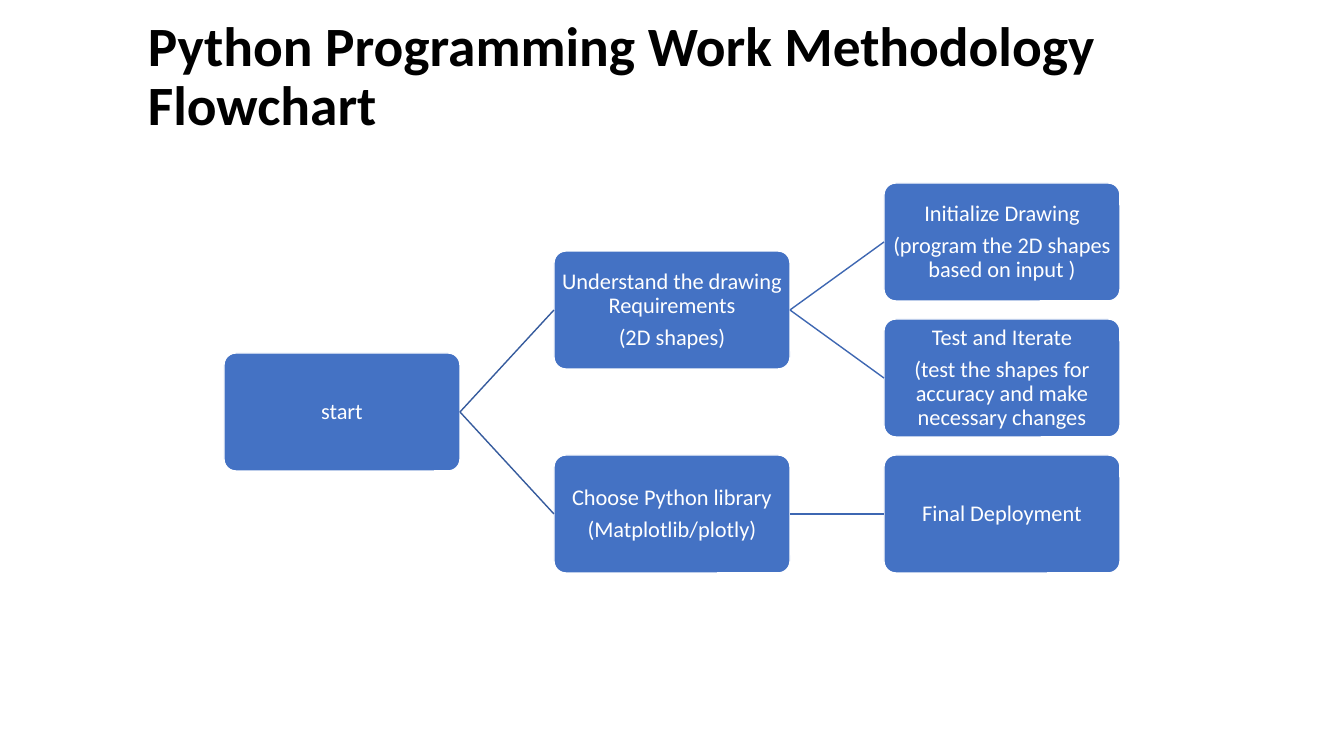
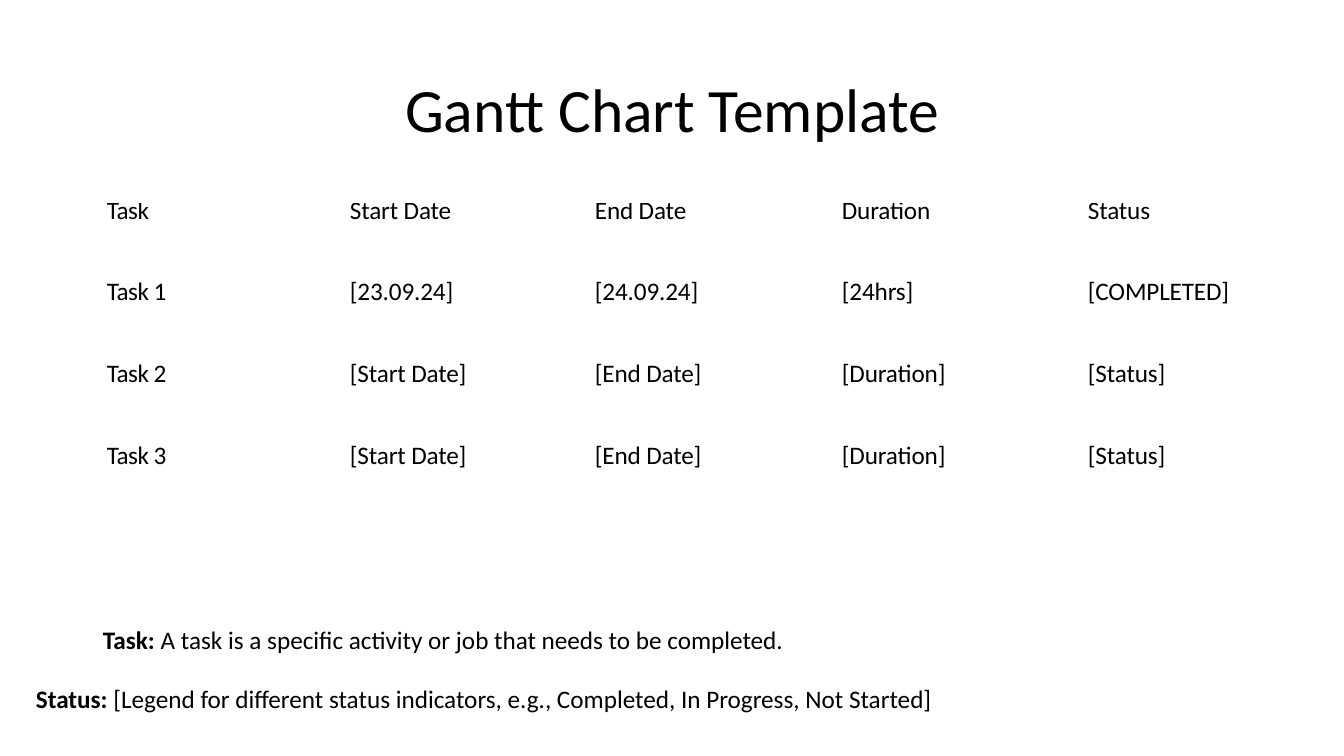
from dataclasses import dataclass

from lxml.etree import SubElement
from pptx import Presentation
from pptx.dml.color import RGBColor
from pptx.enum.shapes import MSO_CONNECTOR, MSO_SHAPE
from pptx.enum.text import MSO_ANCHOR, PP_ALIGN
from pptx.oxml.ns import qn
from pptx.util import Emu, Pt


@dataclass(frozen=True)
class Theme:
    font: str = "Calibri"
    ink: str = "000000"
    paper: str = "FFFFFF"
    node: str = "4472C4"
    links: tuple = ("365B9D", "3E67B2")  # by depth of the parent
    flow_title: float = 39.6
    gantt_title: float = 44
    node_text: float = 16
    body: float = 18


T = Theme()
SLIDE_W, SLIDE_H = 1344, 756
LEFT, RIGHT = 1, 3

# key: (column, row, parent, paragraphs)
FLOW = {
    "start": (0, 1.25, None, ["start"]),
    "needs": (1, 0.5, "start",
              ["Understand the drawing Requirements", "(2D shapes)"]),
    "draw": (2, 0, "needs",
             ["Initialize Drawing", "(program the 2D shapes based on input )"]),
    "test": (2, 1, "needs",
             ["Test and Iterate",
              "(test the shapes for accuracy and make necessary changes"]),
    "library": (1, 2, "start",
                ["Choose Python library", "(Matplotlib/plotly)"]),
    "deploy": (2, 2, "library", ["Final Deployment"]),
}

PENDING = ["[Start Date]", "[End Date]", "[Duration]", "[Status]"]
TASKS = [
    ["Task", "Start Date", "End Date", "Duration", "Status"],
    ["Task 1", "[23.09.24]", "[24.09.24]", "[24hrs]", "[COMPLETED]"],
    ["Task 2", *PENDING],
    ["Task 3", *PENDING],
]
COLUMNS = [(169, 14), (274, 88), (241, 59), (244, 65), (231, 67)]  # width, indent
ROWS = [(53, 0, 17.1), (82, 22, None), (82, 22, None), (53, 22, 21.5)]  # height, inset, leading


def px(n):
    return Emu(round(n * 914400 / 100.8))


def rgb(code):
    return RGBColor.from_string(code)


def add_run(p, text, size, color=T.ink, bold=False):
    r = p.add_run()
    r.text = text
    r.font.name = T.font
    r.font.size = Pt(size)
    r.font.bold = bold
    r.font.color.rgb = rgb(color)
    return r


def add_text(slide, box, runs, size, align=PP_ALIGN.LEFT,
             anchor=MSO_ANCHOR.TOP, spacing=1.0):
    """Place one paragraph of (text, bold) runs in a text box."""
    tf = slide.shapes.add_textbox(*map(px, box)).text_frame
    tf.word_wrap = True
    tf.vertical_anchor = anchor
    p = tf.paragraphs[0]
    p.alignment = align
    p.line_spacing = spacing
    for text, bold in runs:
        add_run(p, text, size, bold=bold)


def add_title(slide, box, text, size, align=PP_ALIGN.LEFT, bold=False):
    add_text(slide, box, [(text, bold)], size, align, MSO_ANCHOR.MIDDLE, 0.9)


def add_node(slide, box, paragraphs):
    s = slide.shapes.add_shape(MSO_SHAPE.ROUNDED_RECTANGLE, *map(px, box))
    s.adjustments[0] = 0.1
    s.shadow.inherit = False
    s.fill.solid()
    s.fill.fore_color.rgb = rgb(T.node)
    s.line.color.rgb = rgb(T.paper)
    s.line.width = Pt(1)
    tf = s.text_frame
    tf.word_wrap = True
    tf.vertical_anchor = MSO_ANCHOR.MIDDLE
    tf.margin_left = tf.margin_right = tf.margin_top = tf.margin_bottom = px(1)
    for i, text in enumerate(paragraphs):
        p = tf.add_paragraph() if i else tf.paragraphs[0]
        p.alignment = PP_ALIGN.CENTER
        p.line_spacing = 0.9
        p.space_after = Pt(5.6)
        add_run(p, text, T.node_text, T.paper)
    return s


def link(slide, parent, child, color):
    c = slide.shapes.add_connector(MSO_CONNECTOR.STRAIGHT, 0, 0, 0, 0)
    c.begin_connect(parent, RIGHT)
    c.end_connect(child, LEFT)
    c.line.color.rgb = rgb(color)
    c.line.width = Pt(1)
    SubElement(c._element.spPr, qn("a:effectLst"))


def add_flow(slide, box):
    """Lay the tree out on three columns and three rows inside box."""
    x, y, w, h = box
    node_w, node_h = 236, 118
    step_x, step_y = (w - node_w) / 2, (h - node_h) / 2
    nodes = {}
    for key, (col, row, parent, paragraphs) in FLOW.items():
        place = (x + col * step_x, y + row * step_y, node_w, node_h)
        nodes[key] = add_node(slide, place, paragraphs)
        if parent:
            link(slide, nodes[parent], nodes[key], T.links[col - 1])


def fill_cell(cell, text, indent, inset, leading, tracking):
    cell.fill.background()
    cell.margin_left = px(indent)
    cell.margin_top = px(inset)
    cell.margin_right = cell.margin_bottom = 0
    p = cell.text_frame.paragraphs[0]
    if leading:
        p.line_spacing = Pt(leading)
    r = add_run(p, text, T.body)
    r.font._element.set("spc", str(tracking))


def add_task_table(slide, x, y):
    width = sum(w for w, _ in COLUMNS)
    height = sum(row[0] for row in ROWS)
    table = slide.shapes.add_table(len(ROWS), len(COLUMNS),
                                   *map(px, (x, y, width, height))).table
    table.first_row = table.horz_banding = False
    for j, (w, _) in enumerate(COLUMNS):
        table.columns[j].width = px(w)
    for i, (h, inset, leading) in enumerate(ROWS):
        table.rows[i].height = px(h)
        for j, (_, indent) in enumerate(COLUMNS):
            fill_cell(table.cell(i, j), TASKS[i][j], indent, inset, leading,
                      -10 if j else -40)


def flowchart_slide(slide):
    add_title(slide, (138, 10, 1021, 136),
              "Python Programming Work Methodology Flowchart",
              T.flow_title, bold=True)
    add_flow(slide, (224, 183, 896, 390))


def gantt_slide(slide):
    add_title(slide, (93, 40, 1159, 146), "Gantt Chart Template",
              T.gantt_title, PP_ALIGN.CENTER)
    add_task_table(slide, 93, 202)
    add_text(slide, (93, 619, 906, 40),
             [("Task: ", True),
              ("A task is a specific activity or job that needs to be completed.", False)],
             T.body)
    add_text(slide, (26, 678, 1300, 40),
             [("Status:", True),
              (" [Legend for different status indicators, e.g., "
               "Completed, In Progress, Not Started]", False)],
             T.body)


def main():
    prs = Presentation()
    prs.slide_width, prs.slide_height = px(SLIDE_W), px(SLIDE_H)
    for build in (flowchart_slide, gantt_slide):
        build(prs.slides.add_slide(prs.slide_layouts[6]))
    prs.save("out.pptx")


if __name__ == "__main__":
    main()
